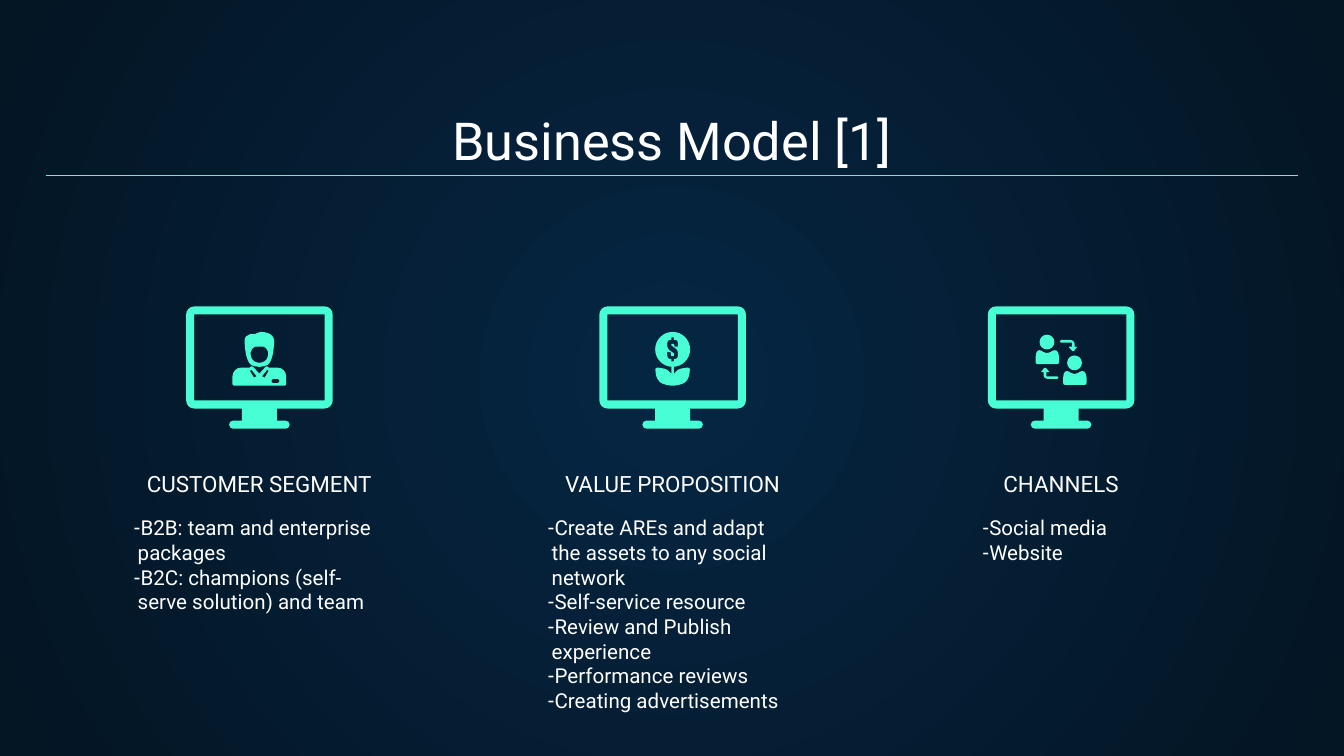
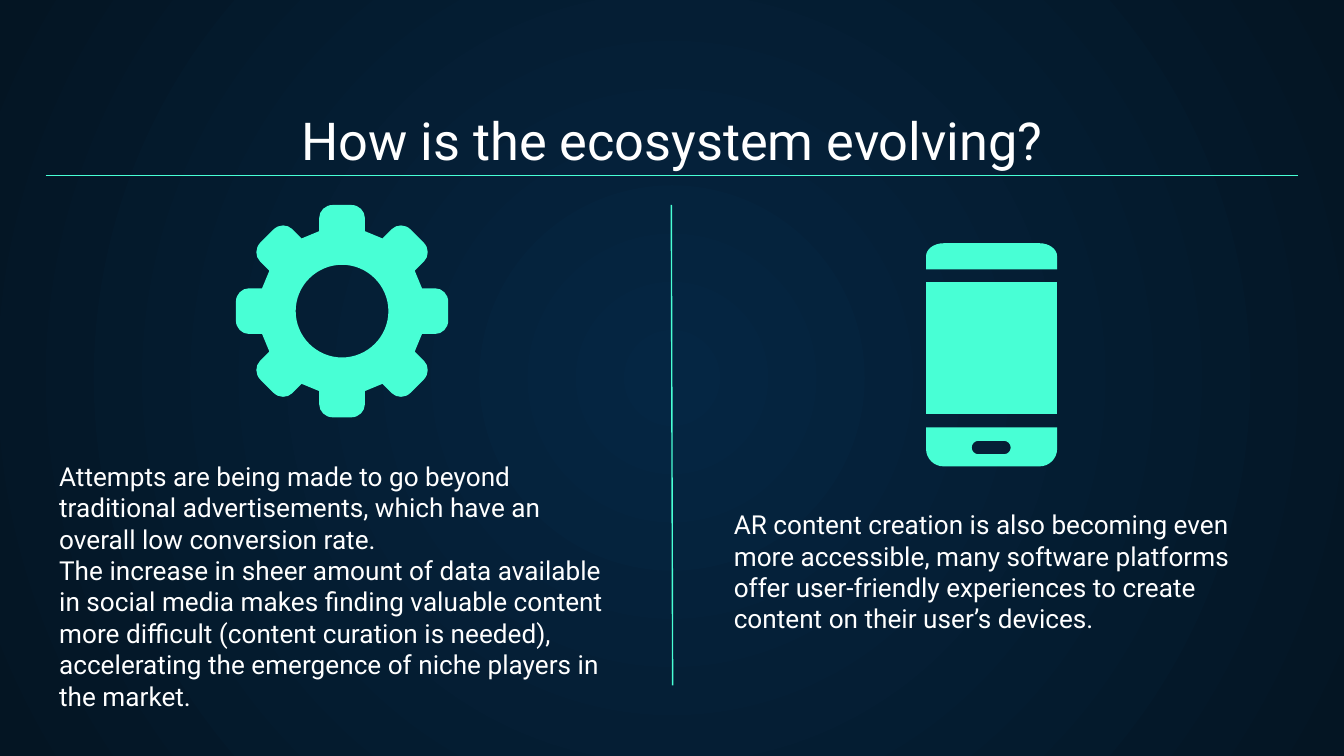
"""Builds two dark slides: a three-column business model and the evolving ecosystem."""
from dataclasses import dataclass
from math import cos, hypot, radians, sin

from lxml import etree
from pptx import Presentation
from pptx.dml.color import RGBColor as RGB
from pptx.enum.shapes import MSO_CONNECTOR as CONNECTOR
from pptx.enum.text import MSO_ANCHOR as ANCHOR, MSO_AUTO_SIZE as AUTO, PP_ALIGN as ALIGN
from pptx.oxml.ns import qn
from pptx.util import Pt

PX = 4572
HANDLE = 0.45


@dataclass(frozen=True)
class Theme:
    font: str = "Roboto"
    text: RGB = RGB(0xFF, 0xFF, 0xFF)
    accent: RGB = RGB(0x48, 0xFF, 0xD5)
    glow: RGB = RGB(0x05, 0x26, 0x43)
    edge: RGB = RGB(0x04, 0x15, 0x23)
    title: int = 28
    body: int = 14
    heading: int = 12
    item: int = 11
    rule: float = 0.75


T = Theme()


def write(sp, box, lines, size, align=ALIGN.LEFT, anchor=ANCHOR.TOP, bullet=None):
    sp.left, sp.top, sp.width, sp.height = (v * PX for v in box)
    tf = sp.text_frame
    tf.word_wrap, tf.auto_size, tf.vertical_anchor = True, AUTO.NONE, anchor
    tf.margin_left = tf.margin_top = tf.margin_right = tf.margin_bottom = 20 * PX
    tf.text = "\n".join(lines)
    for p in tf.paragraphs:
        p.alignment, p.space_before, p.line_spacing = align, Pt(0), 1.0
        p.font.name, p.font.size, p.font.bold = T.font, Pt(size), False
        p.font.color.rgb = T.text
        pPr = p._p.get_or_add_pPr()
        pPr.set("marL", str(6 * PX if bullet else 0))
        pPr.set("indent", str(-26 * PX if bullet else 0))
        bu = etree.Element(qn("a:buChar" if bullet else "a:buNone"))
        if bullet:
            bu.set("char", bullet)
        pPr.insert_element_before(bu, "a:tabLst", "a:defRPr", "a:extLst")


def outline(shapes, x0, y0, *contours):
    """Draws closed contours of (x, y) or (x, y, corner radius) points as one shape."""
    fb, roles = None, []
    for contour in contours:
        pts = []
        for i, (x, y, *radius) in enumerate(contour):
            corner = [(x, y)]
            if radius:
                ends, handles = [], []
                for nx, ny, *_ in (contour[i - 1], contour[(i + 1) % len(contour)]):
                    length = hypot(nx - x, ny - y)
                    cut = min(radius[0], length / 2) / length
                    dx, dy = (nx - x) * cut, (ny - y) * cut
                    ends.append((x + dx, y + dy))
                    handles.append((x + dx * HANDLE, y + dy * HANDLE))
                corner = [ends[0], *handles, ends[1]]
            corner = [(round((x0 + x) * PX), round((y0 + y) * PX)) for x, y in corner]
            if not pts or pts[-1] != corner[0]:
                roles += ["line"] if pts else []
                pts.append(corner[0])
            pts += corner[1:]
            roles += ["curve", "join", "join"] if radius else []
        if fb is None:
            fb = shapes.build_freeform(*pts[0], scale=1.0)
        else:
            fb.move_to(*pts[0])
        fb.add_line_segments(pts[1:], close=True)
    sp = fb.convert_to_shape()
    for role, segment in zip(roles, list(sp._element.iter(qn("a:lnTo")))):
        if role == "curve":
            curve = etree.Element(qn("a:cubicBezTo"))
            segment.addprevious(curve)
        if role != "line":
            curve.append(segment[0])
            segment.getparent().remove(segment)
    sp.shadow.inherit = False
    sp.fill.solid()
    sp.fill.fore_color.rgb = T.accent
    sp.line.fill.background()


prs = Presentation()
prs.slide_width, prs.slide_height = 2000 * PX, 1125 * PX
master = prs.slide_master
fill = master.background.fill
fill.gradient()
for stop, color, position in zip(fill.gradient_stops, (T.glow, T.edge), (0, 1)):
    stop.color.rgb, stop.position = color, position
lin = next(master.element.iter(qn("a:lin")))
radial = etree.Element(qn("a:path"), {"path": "circle"})
etree.SubElement(radial, qn("a:fillToRect"), dict.fromkeys("ltrb", "50000"))
lin.getparent().replace(lin, radial)

TITLES = ["Business Model [1]", "How is the ecosystem evolving?"]
COMPARISON, TWO_CONTENT = prs.slide_layouts[4], prs.slide_layouts[3]
model, ecosystem = slides = [prs.slides.add_slide(x) for x in (COMPARISON, TWO_CONTENT)]
for s, title in zip(slides, TITLES):
    write(s.shapes.title, (68, 141, 1864, 134), [title], T.title, ALIGN.CENTER, ANCHOR.BOTTOM)

RULE = (68, 261, 1932, 261)
for s, ends in ((model, RULE), (ecosystem, RULE), (ecosystem, (999, 305, 1001, 1020))):
    line = s.shapes.add_connector(CONNECTOR.STRAIGHT, *(v * PX for v in ends))
    line.line.color.rgb, line.line.width = T.accent, Pt(T.rule)
    etree.SubElement(line._element.spPr, qn("a:effectLst"))

MONITOR_TOP = 456
MONITOR = [(-109, 0, 12), (109, 0, 12), (109, 152, 12), (26, 152), (26, 170),
           (45, 170, 6), (45, 182, 6), (-45, 182, 6), (-45, 170, 6),
           (-26, 170), (-26, 152), (-109, 152, 12)]
SCREEN = [(-97, 12), (97, 12), (97, 140), (-97, 140)]

HAIR = [(-22, 42, 10), (-6, 41), (2, 37, 6), (22, 42, 14), (22, 60, 10), (18, 82, 14),
        (9, 90, 10), (-9, 90, 10), (-18, 82, 14), (-22, 60, 10)]
FACE = [(-8, 60, 2), (8, 60, 2), (14, 68, 4), (10, 84, 12), (-10, 84, 12), (-14, 68, 4)]
JACKET = [(-40, 118, 2), (-40, 91, 16), (-14, 91), (-11, 88, 2), (0, 100),
          (11, 88, 2), (14, 91), (40, 91, 16), (40, 118, 2)]
LAPEL = [(-12, 94), (-4, 104), (-8, 106), (-14, 96)]
LAPEL_MIRRORED = [(-x, y) for x, y in LAPEL]
POCKET = [(18, 108, 3), (30, 108, 3), (30, 114, 3), (18, 114, 3)]

COIN = [(-26, 38, 26), (26, 38, 26), (26, 90, 26), (-26, 90, 26)]
DOLLAR = [(-2, 46), (2, 46), (2, 50), (8, 50, 5), (8, 60), (3, 60), (2, 56), (-2, 56),
          (-2, 58), (8, 65, 4), (8, 78, 5), (2, 78), (2, 82), (-2, 82), (-2, 78),
          (-8, 78, 5), (-8, 68), (-3, 68), (-2, 74), (2, 74), (2, 70), (-8, 63, 4),
          (-8, 50, 5), (-2, 50)]
LEAVES = [(-2, 90), (2, 90), (2, 100), (10, 92, 8), (26, 91, 3), (24, 110, 12),
          (10, 118, 12), (-10, 118, 12), (-24, 110, 12), (-26, 91, 3), (-10, 92, 8),
          (-2, 100)]

HEAD = [(-32, 42, 11), (-10, 42, 11), (-10, 64, 11), (-32, 64, 11)]
TORSO = [(-32, 64, 4), (-21, 72, 10), (-10, 64, 4), (-3, 68, 8), (-3, 86, 3),
         (-38, 86, 3), (-38, 68, 8)]
ARROW = [(-2, 50, 2), (20, 50, 6), (20, 60), (24, 60, 1), (18, 68, 2), (11, 60, 1),
         (16, 60), (16, 54), (-2, 54, 2)]
ARROW_BACK = [(-6 - x, 158 - y, *r) for x, y, *r in ARROW]
SECOND_PERSON = [[(x + 41, y + 31, *r) for x, y, *r in part] for part in (HEAD, TORSO)]

COLUMNS = [
    (386, 179, "CUSTOMER SEGMENT", 226,
     ["B2B: team and enterprise packages",
      "B2C: champions (self-serve solution) and team"],
     [[HAIR, FACE], [JACKET, LAPEL, LAPEL_MIRRORED, POCKET]]),
    (1001, 795, "VALUE PROPOSITION", 336,
     ["Create AREs and adapt the assets to any social network",
      "Self-service resource",
      "Review and Publish experience",
      "Performance reviews",
      "Creating advertisements"],
     [[COIN, DOLLAR, LEAVES]]),
    (1579, 1442, "CHANNELS", 114,
     ["Social media", "Website"],
     [[part] for part in (HEAD, TORSO, *SECOND_PERSON, ARROW, ARROW_BACK)]),
]
for idx, (center, left, heading, height, items, icon) in enumerate(COLUMNS, 1):
    write(model.placeholders[idx], (left, 747, 414, height), items, T.item, bullet="-")
    sp = model.shapes.add_textbox(0, 0, 0, 0)
    write(sp, (center - 227, 717, 454, 42), [heading], T.heading, ALIGN.CENTER, ANCHOR.BOTTOM)
    outline(model.shapes, center, MONITOR_TOP, MONITOR, SCREEN)
    shapes = model.shapes.add_group_shape().shapes if len(icon) > 1 else model.shapes
    for part in icon:
        outline(shapes, center, MONITOR_TOP, *part)
spare = model.placeholders[4]._element
spare.getparent().remove(spare)

TEXTS = [
    ((68, 665, 860, 418),
     ["Attempts are being made to go beyond traditional advertisements, which have an "
      "overall low conversion rate.",
      "The increase in sheer amount of data available in social media makes finding "
      "valuable content more difficult (content curation is needed), accelerating the "
      "emergence of niche players in the market."]),
    ((1072, 737, 860, 228),
     ["AR content creation is also becoming even more accessible, many software platforms "
      "offer user-friendly experiences to create content on their user’s devices."]),
]
for idx, (box, lines) in enumerate(TEXTS, 1):
    write(ecosystem.placeholders[idx], box, lines, T.body)

TOOTH = [(-34, -119), (-34, -158, 20), (34, -158, 20), (34, -119)]
gear = []
for angle in range(0, 360, 45):
    c, n = cos(radians(angle)), sin(radians(angle))
    gear += [(x * c - y * n, x * n + y * c, *r) for x, y, *r in TOOTH]
AXLE = [(-69, -69, 69), (69, -69, 69), (69, 69, 69), (-69, 69, 69)]
outline(ecosystem.shapes, 509, 463, gear, AXLE)

EARPIECE = [(0, 0, 26), (195, 0, 26), (195, 39), (0, 39)]
DISPLAY = [(0, 58), (195, 58), (195, 254), (0, 254)]
CHIN = [(0, 274), (195, 274), (195, 332, 26), (0, 332, 26)]
BUTTON = [(68, 294, 10), (126, 294, 10), (126, 314, 10), (68, 314, 10)]
phone = ecosystem.shapes.add_group_shape()
for part in ([EARPIECE], [DISPLAY], [CHIN, BUTTON]):
    outline(phone.shapes, 1378, 362, *part)

prs.save("out.pptx")
